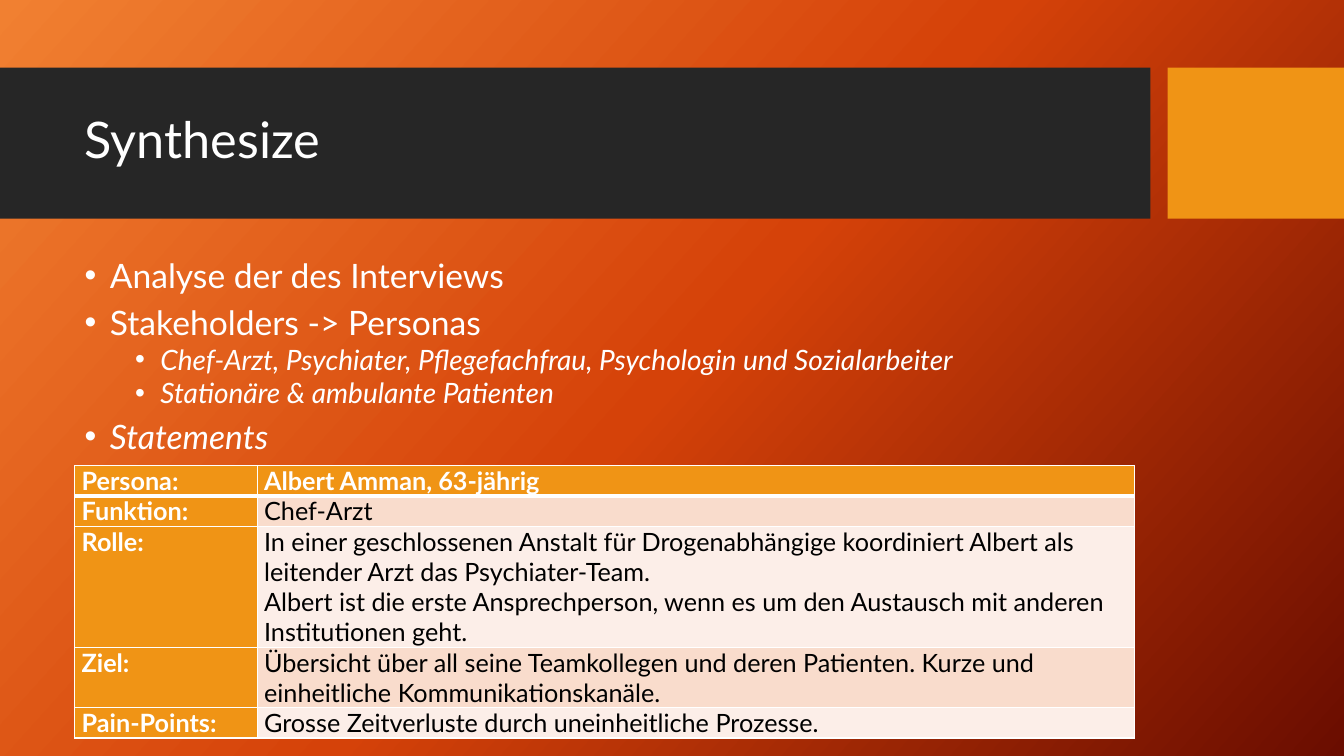
from copy import deepcopy

from lxml.etree import SubElement
from pptx import Presentation
from pptx.dml.color import RGBColor
from pptx.enum.shapes import MSO_SHAPE
from pptx.enum.text import MSO_ANCHOR, MSO_AUTO_SIZE, PP_ALIGN
from pptx.oxml import parse_xml
from pptx.oxml.ns import nsdecls, qn
from pptx.util import Inches, Pt

FONT = "Lato"
WHITE = RGBColor(0xFF, 0xFF, 0xFF)
BLACK = RGBColor(0x00, 0x00, 0x00)
CHARCOAL = RGBColor(0x26, 0x26, 0x26)
AMBER = RGBColor(0xF0, 0x94, 0x15)
BANDS = (RGBColor(0xF9, 0xDC, 0xCC), RGBColor(0xFC, 0xEE, 0xE8))
GRADIENT = (
    (0, RGBColor(0xF1, 0x80, 0x31)),
    (0.5, RGBColor(0xD5, 0x42, 0x09)),
    (1, RGBColor(0x6A, 0x0D, 0x00)),
)

LEFT, CONTENT_WIDTH = 0.74, 10.51

# Text, level, italic
POINTS = (
    ("Analyse der des Interviews", 0, False),
    ("Stakeholders -> Personas", 0, False),
    ("Chef-Arzt, Psychiater, Pflegefachfrau, Psychologin und Sozialarbeiter", 1, True),
    ("Stationäre & ambulante Patienten", 1, True),
    ("Statements", 0, True),
)

# Label, paragraphs, number of text lines
PERSONA = (
    ("Persona:", ["Albert Amman, 63-jährig"], 1),
    ("Funktion:", ["Chef-Arzt"], 1),
    ("Rolle:", [
        "In einer geschlossenen Anstalt für Drogenabhängige koordiniert Albert als "
        "leitender Arzt das Psychiater-Team.",
        "Albert ist die erste Ansprechperson, wenn es um den Austausch mit anderen "
        "Institutionen geht.",
    ], 4),
    ("Ziel:", [
        "Übersicht über all seine Teamkollegen und deren Patienten. Kurze und "
        "einheitliche Kommunikationskanäle.",
    ], 2),
    ("Pain-Points:", ["Grosse Zeitverluste durch uneinheitliche Prozesse."], 1),
)
LINE_HEIGHT = 0.3


def set_font(paragraph, size, color=WHITE, bold=False, italic=False):
    font = paragraph.font
    font.name, font.size = FONT, Pt(size)
    font.bold, font.italic = bold, italic
    font.color.rgb = color


def place(shape, left, top, width, height):
    shape.left, shape.top = Inches(left), Inches(top)
    shape.width, shape.height = Inches(width), Inches(height)


def paint_background(slide):
    fill = slide.background.fill
    fill.gradient()
    fill.gradient_angle = 360 - 42
    stop_list = slide.element.find(".//" + qn("a:gsLst"))
    stop_list.append(deepcopy(stop_list[0]))
    for stop, (position, color) in zip(fill.gradient_stops, GRADIENT):
        stop.position = position
        stop.color.rgb = color


def add_bar(slide, left, width, color):
    bar = slide.shapes.add_shape(
        MSO_SHAPE.RECTANGLE, Inches(left), Inches(0.67), Inches(width), Inches(1.5))
    bar.shadow.inherit = False
    bar.fill.solid()
    bar.fill.fore_color.rgb = color
    bar.line.fill.background()
    # Keep the bars behind the title
    slide.shapes.element.insert(2, bar.element)


def fill_title(title):
    place(title, LEFT, 0.82, CONTENT_WIDTH, 1.18)
    frame = title.text_frame
    frame.text = "Synthesize"
    frame.auto_size = MSO_AUTO_SIZE.NONE
    frame.vertical_anchor = MSO_ANCHOR.MIDDLE
    heading = frame.paragraphs[0]
    heading.alignment = PP_ALIGN.LEFT
    heading.line_spacing = 0.9
    set_font(heading, 36)


def fill_points(body):
    place(body, LEFT, 2.56, CONTENT_WIDTH, 2.07)
    frame = body.text_frame
    frame.text = "\n".join(text for text, _, _ in POINTS)
    frame.auto_size = MSO_AUTO_SIZE.NONE
    frame.vertical_anchor = MSO_ANCHOR.TOP
    for index, (point, (_, level, italic)) in enumerate(zip(frame.paragraphs, POINTS)):
        point.level = level
        point.line_spacing = 0.8
        point.space_before = Pt((10, 5)[level] if index else 0)
        properties = point._p.get_or_add_pPr()
        properties.set("marL", str(Inches((0.25, 0.75)[level])))
        properties.set("indent", str(Inches(-0.25)))
        SubElement(properties, qn("a:buFont"), typeface="Arial")
        SubElement(properties, qn("a:buChar"), char="•")
        set_font(point, (24, 20)[level], italic=italic)


def set_borders(cell, top, bottom):
    properties = cell._tc.get_or_add_tcPr()
    sides = (("lnL", 1), ("lnR", 1), ("lnT", top), ("lnB", bottom))
    for index, (side, width) in enumerate(sides):
        properties.insert(index, parse_xml(
            f'<a:{side} {nsdecls("a")} w="{Pt(width)}"><a:solidFill>'
            f'<a:srgbClr val="{WHITE}"/></a:solidFill></a:{side}>'))


def fill_cell(cell, paragraphs, fill, color, bold):
    cell.margin_left = cell.margin_right = Inches(0.07)
    cell.margin_top = cell.margin_bottom = 0
    cell.fill.solid()
    cell.fill.fore_color.rgb = fill
    cell.text = "\n".join(paragraphs)
    for paragraph in cell.text_frame.paragraphs:
        set_font(paragraph, 18, color, bold)


def add_persona_table(slide):
    height = LINE_HEIGHT * sum(lines for _, _, lines in PERSONA)
    table = slide.shapes.add_table(
        len(PERSONA), 2, Inches(LEFT), Inches(4.62),
        Inches(CONTENT_WIDTH), Inches(height)).table
    table.first_row = table.horz_banding = False
    table.columns[0].width = Inches(1.81)
    table.columns[1].width = Inches(8.7)
    for row, (label, details, lines) in enumerate(PERSONA):
        table.rows[row].height = Inches(LINE_HEIGHT * lines)
        header = row == 0
        fill_cell(table.cell(row, 0), [label], AMBER, WHITE, True)
        fill_cell(table.cell(row, 1), details,
                  AMBER if header else BANDS[(row - 1) % 2],
                  WHITE if header else BLACK, header)
        for cell in table.rows[row].cells:
            set_borders(cell, top=3 if row == 1 else 1, bottom=3 if header else 1)


def main():
    presentation = Presentation()
    presentation.slide_width, presentation.slide_height = Inches(13.33), Inches(7.5)
    slide = presentation.slides.add_slide(presentation.slide_layouts[1])
    paint_background(slide)

    # Title band
    add_bar(slide, 0, 11.41, CHARCOAL)
    add_bar(slide, 11.58, 1.75, AMBER)
    fill_title(slide.shapes.title)

    # Findings and persona
    fill_points(slide.placeholders[1])
    add_persona_table(slide)
    presentation.save("out.pptx")


if __name__ == "__main__":
    main()
